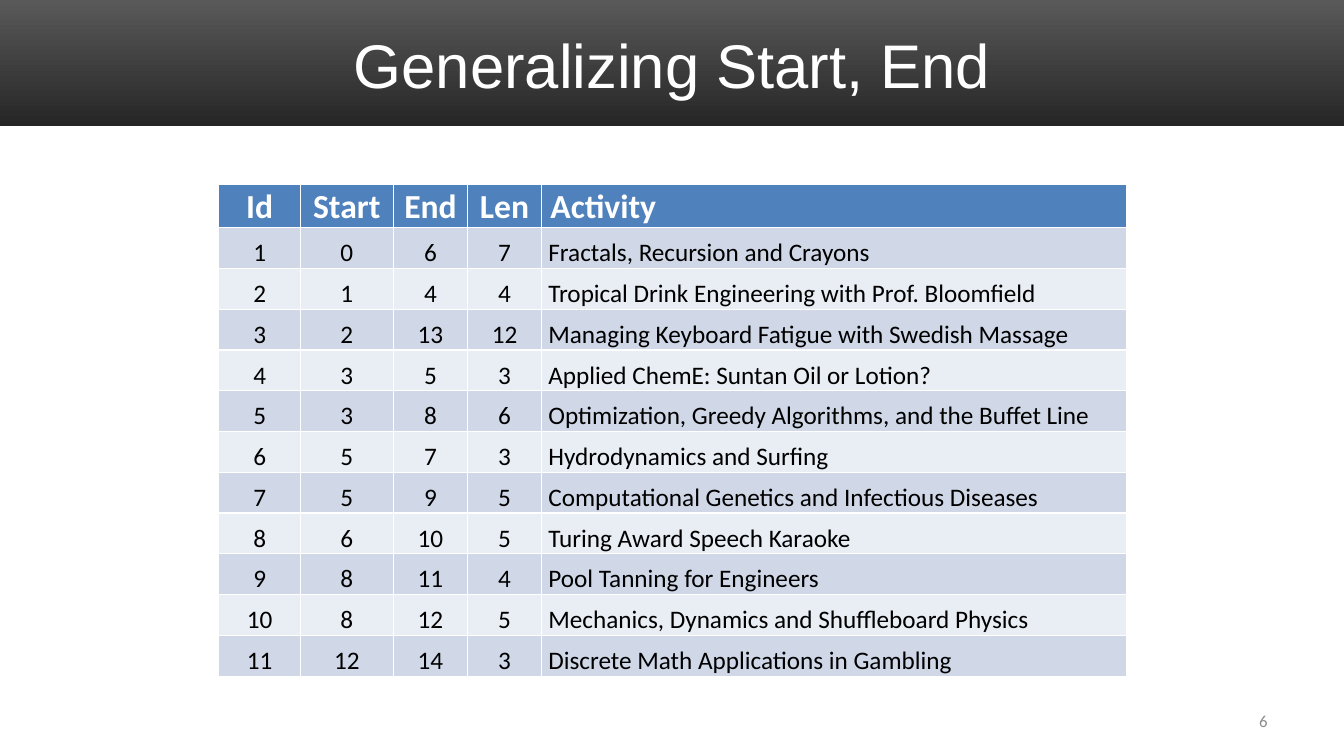
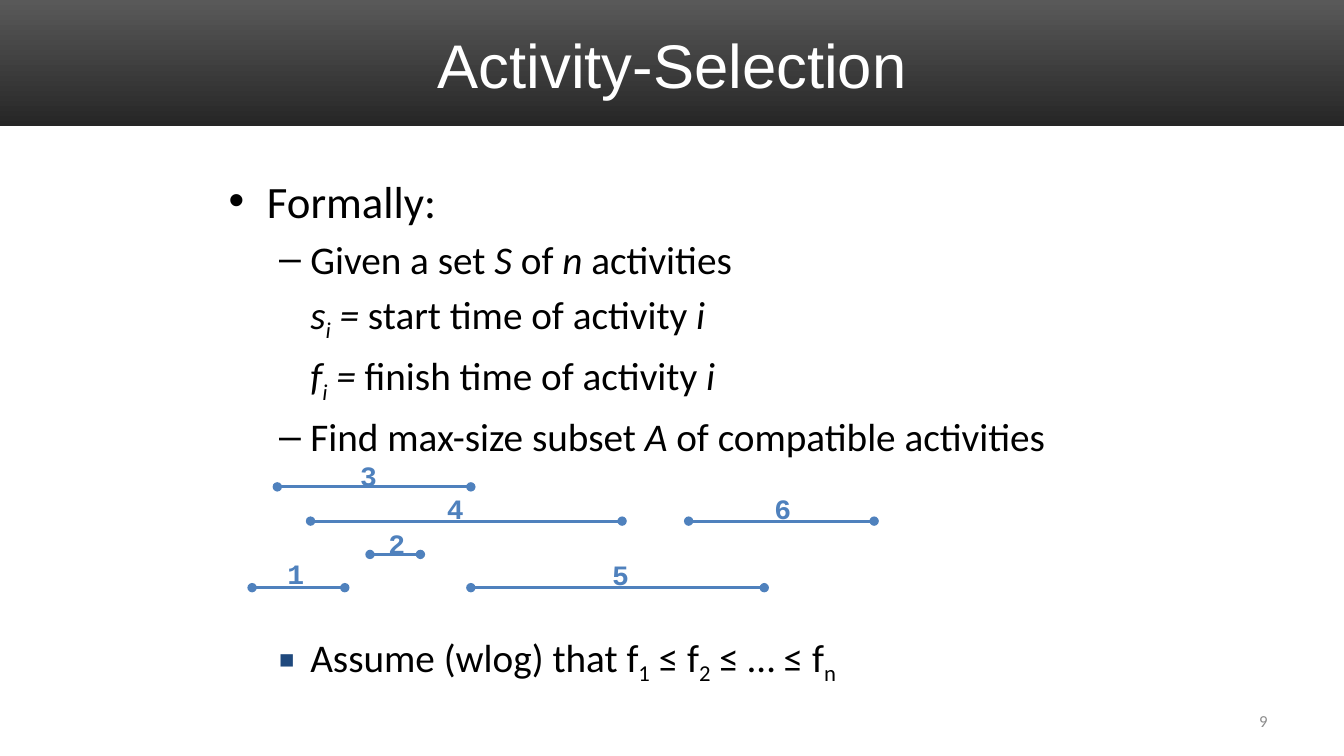
from dataclasses import dataclass
from typing import Optional

from lxml import etree
from pptx import Presentation
from pptx import util as u
from pptx.dml.color import RGBColor
from pptx.enum import shapes, text
from pptx.oxml import ns

WHITE, BLACK, BLUE = "FFFFFF", "000000", "4F81BD"
BAND_TOP, BAND_BOTTOM = "595959", "262626"
ROW_FILLS = ("D0D8E8", "E9EDF4")
PAGE_GREY, NAVY = "8C8C8C", "1F497D"
TITLE_FONT, BODY_FONT, LABEL_FONT = "Arial", "Calibri", "Courier New"
LEFT, CENTER, RIGHT = text.PP_ALIGN.LEFT, text.PP_ALIGN.CENTER, text.PP_ALIGN.RIGHT
TOP, MIDDLE = text.MSO_ANCHOR.TOP, text.MSO_ANCHOR.MIDDLE
SLIDE_WIDTH, SLIDE_HEIGHT = 13.33, 7.5
CONTENT_LEFT, CONTENT_WIDTH = 2.17, 9


@dataclass(frozen=True)
class Piece:
    """A stretch of text in one style."""
    text: str
    italic: bool = False
    subscript: bool = False


@dataclass(frozen=True)
class Bullet:
    char: str
    color: str = BLACK
    percent: int = 100


@dataclass(frozen=True)
class Item:
    pieces: tuple[Piece, ...]
    size: float = 28
    margin: float = 0.81
    hanging: float = 0.31
    bullet: Optional[Bullet] = None


@dataclass(frozen=True)
class Activity:
    start: int
    end: int
    name: str


@dataclass(frozen=True)
class Interval:
    start: float
    end: float
    y: float
    label_left: float
    label_top: float


DASH = Bullet("–")
FORMAL_ITEMS = (
    Item((Piece("Formally:"),), 32, 0.38, 0.38, Bullet("•")),
    Item((Piece("Given a set "), Piece("S", True), Piece(" of "), Piece("n", True),
          Piece(" activities")), bullet=DASH),
    *(Item((Piece(symbol, True), Piece("i", True, True), Piece(" = ", True),
            Piece(f"{meaning} time of activity "), Piece("i", True)))
      for symbol, meaning in (("s", "start"), ("f", "finish"))),
    Item((Piece("Find max-size subset "), Piece("A", True),
          Piece(" of compatible activities")), bullet=DASH),
)
ASSUMPTION = Item(
    (Piece("Assume (wlog) that f"), Piece("1", subscript=True), Piece(" ≤ f"),
     Piece("2", subscript=True), Piece(" ≤ … ≤ f"), Piece("n", subscript=True)),
    bullet=Bullet("■", NAVY, 65))

HEADINGS = ("Id", "Start", "End", "Len", "Activity")
COLUMN_WIDTHS = (0.81, 0.92, 0.74, 0.73, 5.8)
ACTIVITIES = (
    Activity(0, 6, "Fractals, Recursion and Crayons"),
    Activity(1, 4, "Tropical Drink Engineering with Prof. Bloomfield"),
    Activity(2, 13, "Managing Keyboard Fatigue with Swedish Massage"),
    Activity(3, 5, "Applied ChemE: Suntan Oil or Lotion?"),
    Activity(3, 8, "Optimization, Greedy Algorithms, and the Buffet Line"),
    Activity(5, 7, "Hydrodynamics and Surfing"),
    Activity(5, 9, "Computational Genetics and Infectious Diseases"),
    Activity(6, 10, "Turing Award Speech Karaoke"),
    Activity(8, 11, "Pool Tanning for Engineers"),
    Activity(8, 12, "Mechanics, Dynamics and Shuffleboard Physics"),
    Activity(12, 14, "Discrete Math Applications in Gambling"),
)
INTERVALS = (
    Interval(2.5, 3.42, 5.83, 2.75, 5.47),
    Interval(3.67, 4.17, 5.5, 3.75, 5.17),
    Interval(2.75, 4.67, 4.83, 3.47, 4.5),
    Interval(3.08, 6.17, 5.17, 4.33, 4.83),
    Interval(4.67, 7.58, 5.83, 5.97, 5.48),
    Interval(6.83, 8.67, 5.17, 7.58, 4.83),
)


def rgb(color: str) -> RGBColor:
    return RGBColor.from_string(color)


def add_child(parent, tag: str, **attributes: str):
    child = etree.SubElement(parent, ns.qn(tag))
    for name, value in attributes.items():
        child.set(name, value)
    return child


def add_run(paragraph, piece: Piece, size: float, font: str = BODY_FONT,
            color: str = BLACK, bold: bool = False) -> None:
    run = paragraph.add_run()
    run.text = piece.text
    run.font.name = font
    run.font.size = u.Pt(size)
    run.font.bold = bold
    run.font.italic = piece.italic
    run.font.color.rgb = rgb(color)
    if piece.subscript:
        run._r.get_or_add_rPr().set("baseline", "-25000")


def add_frame(slide, left: float, top: float, width: float, height: float,
              anchor=TOP, wrap: bool = True):
    box = slide.shapes.add_textbox(u.Inches(left), u.Inches(top),
                                   u.Inches(width), u.Inches(height))
    box.text_frame.word_wrap = wrap
    box.text_frame.vertical_anchor = anchor
    return box.text_frame


def add_line_of_text(frame, words: str, size: float, align, **style) -> None:
    paragraph = frame.paragraphs[0]
    paragraph.alignment = align
    add_run(paragraph, Piece(words), size, **style)


def add_items(frame, items: tuple[Item, ...]) -> None:
    for index, item in enumerate(items):
        paragraph = frame.add_paragraph() if index else frame.paragraphs[0]
        properties = paragraph._p.get_or_add_pPr()
        properties.set("marL", str(u.Inches(item.margin)))
        if item.bullet:
            properties.set("indent", str(-u.Inches(item.hanging)))
            color = add_child(properties, "a:buClr")
            add_child(color, "a:srgbClr", val=item.bullet.color)
            add_child(properties, "a:buSzPct", val=str(item.bullet.percent * 1000))
            add_child(properties, "a:buFont", typeface="Arial")
            add_child(properties, "a:buChar", char=item.bullet.char)
        if index:
            paragraph.space_before = u.Pt(item.size * 0.2)
        for piece in item.pieces:
            add_run(paragraph, piece, item.size)


def add_slide(presentation, title: str, number: int):
    """Add a slide with the title band and page number."""
    slide = presentation.slides.add_slide(presentation.slide_layouts[6])
    band = slide.shapes.add_shape(shapes.MSO_SHAPE.RECTANGLE, 0, 0,
                                  presentation.slide_width, u.Inches(1.25))
    band.shadow.inherit = False
    band.line.fill.background()
    band.fill.gradient()
    band.fill.gradient_angle = 270
    for stop, color in zip(band.fill.gradient_stops, (BAND_TOP, BAND_BOTTOM)):
        stop.color.rgb = rgb(color)
    add_line_of_text(add_frame(slide, 0.67, 0.17, 12, 0.92, MIDDLE), title, 44, CENTER,
                     font=TITLE_FONT, color=WHITE)
    add_line_of_text(add_frame(slide, 9.56, 6.95, 3.11, 0.4, MIDDLE), str(number), 12,
                     RIGHT, color=PAGE_GREY)
    return slide


def add_borders(cell) -> None:
    properties = cell._tc.get_or_add_tcPr()
    for side in ("a:lnL", "a:lnR", "a:lnT", "a:lnB"):
        line = add_child(properties, side, w=str(u.Pt(1)))
        add_child(add_child(line, "a:solidFill"), "a:srgbClr", val=WHITE)


def add_activity_table(slide) -> None:
    rows = [HEADINGS] + [
        (number, activity.start, activity.end, activity.end - activity.start + 1, activity.name)
        for number, activity in enumerate(ACTIVITIES, 1)]
    height, header_height = 4.88, 0.43
    table = slide.shapes.add_table(
        len(rows), len(HEADINGS), u.Inches(CONTENT_LEFT), u.Inches(1.83),
        u.Inches(CONTENT_WIDTH), u.Inches(height)).table
    table.horz_banding = False
    for column, width in zip(table.columns, COLUMN_WIDTHS):
        column.width = u.Inches(width)
    for row_index, values in enumerate(rows):
        header = row_index == 0
        row_height = header_height if header else (height - header_height) / len(ACTIVITIES)
        table.rows[row_index].height = u.Inches(row_height)
        fill = BLUE if header else ROW_FILLS[(row_index - 1) % 2]
        for column_index, value in enumerate(values):
            cell = table.cell(row_index, column_index)
            is_name = column_index == len(HEADINGS) - 1
            name_margin = 0.09 if header else 0.07
            cell.margin_left = u.Inches(name_margin if is_name else 0.01)
            cell.margin_right = cell.margin_top = u.Inches(0.01)
            cell.margin_bottom = 0
            cell.vertical_anchor = text.MSO_ANCHOR.BOTTOM
            add_borders(cell)
            cell.fill.solid()
            cell.fill.fore_color.rgb = rgb(fill)
            add_line_of_text(cell.text_frame, str(value), 24 if header else 18,
                             LEFT if is_name else CENTER,
                             color=WHITE if header else BLACK, bold=header)


def add_interval(slide, interval: Interval) -> None:
    y = u.Inches(interval.y)
    connector = slide.shapes.add_connector(
        shapes.MSO_CONNECTOR.STRAIGHT, u.Inches(interval.start), y, u.Inches(interval.end), y)
    connector.line.color.rgb = rgb(BLUE)
    connector.line.width = u.Pt(2.25)
    line = connector.line._get_or_add_ln()
    for end in ("a:headEnd", "a:tailEnd"):
        add_child(line, end, type="oval")
    add_child(connector._element.spPr, "a:effectLst")


def add_interval_label(slide, interval: Interval, number: int) -> None:
    frame = add_frame(slide, interval.label_left, interval.label_top, 0.37, 0.43, wrap=False)
    add_line_of_text(frame, str(number), 20, CENTER, font=LABEL_FONT, color=BLUE, bold=True)


def add_selection_content(slide) -> None:
    add_items(add_frame(slide, CONTENT_LEFT, 1.67, CONTENT_WIDTH, 3), FORMAL_ITEMS)
    for number, interval in enumerate(INTERVALS, 1):
        add_interval(slide, interval)
        add_interval_label(slide, interval, number)
    add_items(add_frame(slide, CONTENT_LEFT, 6.23, CONTENT_WIDTH, 1.08), (ASSUMPTION,))


def main() -> None:
    presentation = Presentation()
    presentation.slide_width = u.Inches(SLIDE_WIDTH)
    presentation.slide_height = u.Inches(SLIDE_HEIGHT)
    add_activity_table(add_slide(presentation, "Generalizing Start, End", 6))
    add_selection_content(add_slide(presentation, "Activity-Selection", 9))
    presentation.save("out.pptx")


if __name__ == "__main__":
    main()
